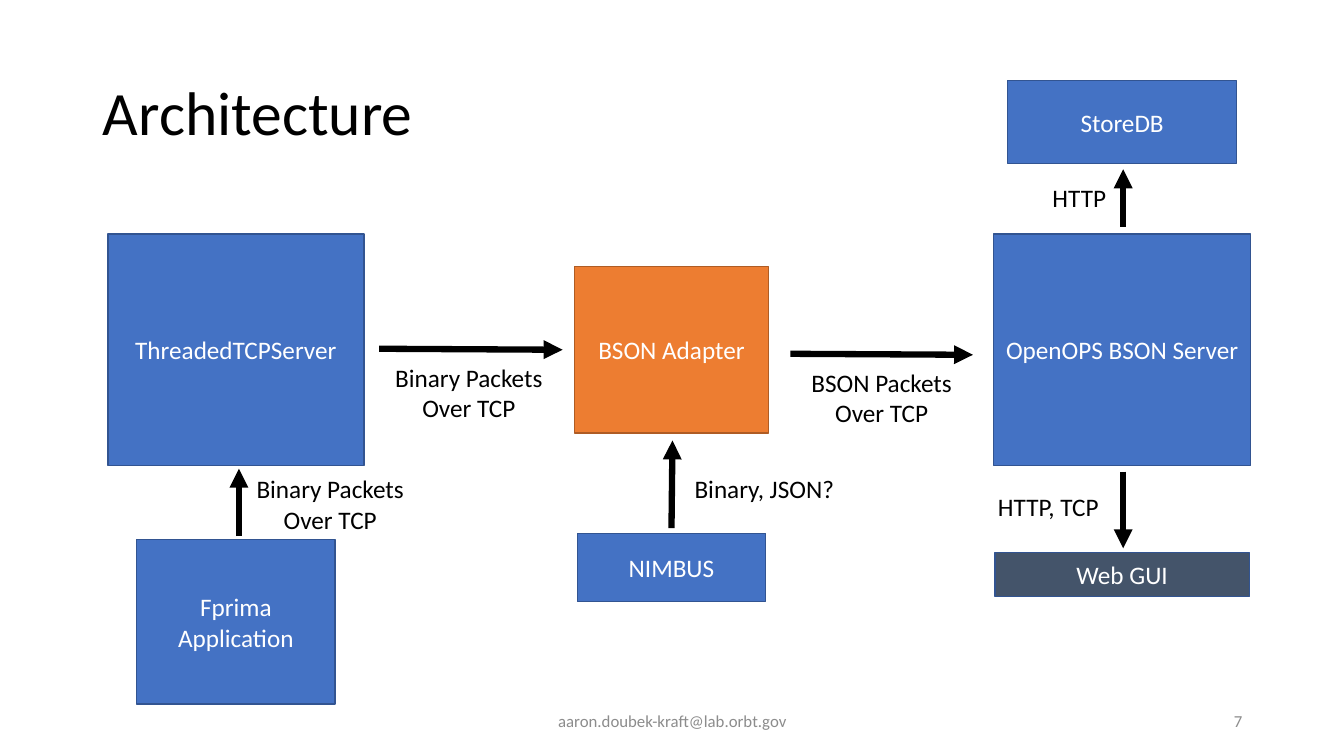
import pptx
import pptx.util
import pptx.dml.color
import pptx.enum.shapes
import pptx.enum.text
import pptx.oxml
import pptx.oxml.ns

Inches, Pt = pptx.util.Inches, pptx.util.Pt
ALIGN = pptx.enum.text.PP_ALIGN
ANCHOR = pptx.enum.text.MSO_ANCHOR

WIDTH, HEIGHT = 13.33, 7.5
FONT = "Calibri"
COLORS = {
    "blue": "4472C4", "blue_edge": "325491",
    "orange": "ED7D31", "orange_edge": "AF5C24",
    "slate": "44546A", "black": "000000", "white": "FFFFFF", "gray": "8C8C8C",
}
COLUMNS = {"source": 2.34, "adapter": 6.66, "server": 11.13}
ROWS = {"store": 1.21, "main": 3.47, "feed": 5.63, "gui": 5.7, "app": 6.17}

TITLE = ("Architecture", 0.92, 0.42, 11.5, 1.45)

# column, row, width, height, fill, edge
BOXES = [
    ("Fprima Application", "source", "app", 1.97, 1.63, "blue", "blue_edge"),
    ("ThreadedTCPServer", "source", "main", 2.54, 2.3, "blue", "blue_edge"),
    ("OpenOPS BSON Server", "server", "main", 2.55, 2.3, "blue", "blue_edge"),
    ("Web GUI", "server", "gui", 2.52, 0.44, "slate", "blue_edge"),
    ("BSON Adapter", "adapter", "main", 1.92, 1.65, "orange", "orange_edge"),
    ("StoreDB", "server", "store", 2.27, 0.82, "blue", "blue_edge"),
    ("NIMBUS", "adapter", "feed", 1.87, 0.68, "blue", "blue_edge"),
]

LABELS = [
    (["Binary Packets Over TCP"], 2.42, 4.65, 1.71, 0.71, ALIGN.CENTER),
    (["BSON Packets", "Over TCP"], 7.93, 3.59, 1.63, 0.71, ALIGN.CENTER),
    (["Binary Packets Over TCP"], 3.77, 3.54, 1.76, 0.71, ALIGN.CENTER),
    (["HTTP, TCP"], 9.8, 4.83, 1.26, 0.4, ALIGN.LEFT),
    (["HTTP"], 10.34, 1.76, 0.78, 0.4, ALIGN.LEFT),
    (["Binary, JSON?"], 6.79, 4.65, 1.81, 0.4, ALIGN.LEFT),
]

FOOTERS = [
    (["aaron.doubek-kraft@lab.orbt.gov"], 4.42, 6.95, 4.5, 0.4, ALIGN.CENTER),
    (["7"], 9.42, 6.95, 3, 0.4, ALIGN.RIGHT),
]

ARROWS = [
    (2.37, 5.32, 2.37, 4.65),
    (3.76, 3.46, 5.58, 3.47),
    (7.84, 3.51, 9.65, 3.52),
    (6.66, 5.24, 6.67, 4.37),
    (11.14, 4.68, 11.14, 5.44),
    (11.14, 2.25, 11.14, 1.68),
]


def rgb(name):
    return pptx.dml.color.RGBColor.from_string(COLORS[name])


def write(sp, lines, size, color, align, anchor):
    tf = sp.text_frame
    tf.text = "\n".join(lines)
    tf.word_wrap = True
    tf.vertical_anchor = anchor
    for p in tf.paragraphs:
        p.alignment = align
        p.font.name = FONT
        p.font.size = Pt(size)
        p.font.color.rgb = rgb(color)


def add_box(slide, text, column, row, w, h, fill, edge):
    sp = slide.shapes.add_shape(
        pptx.enum.shapes.MSO_SHAPE.RECTANGLE,
        Inches(COLUMNS[column] - w / 2), Inches(ROWS[row] - h / 2),
        Inches(w), Inches(h))
    sp.shadow.inherit = False
    sp.fill.solid()
    sp.fill.fore_color.rgb = rgb(fill)
    sp.line.color.rgb = rgb(edge)
    sp.line.width = Pt(1)
    write(sp, [text], 18, "white", ALIGN.CENTER, ANCHOR.MIDDLE)


def add_text(slide, lines, x, y, w, h, align, size, color, anchor):
    sp = slide.shapes.add_textbox(*map(Inches, (x, y, w, h)))
    write(sp, lines, size, color, align, anchor)


def add_arrow(slide, ends):
    sp = slide.shapes.add_connector(
        pptx.enum.shapes.MSO_CONNECTOR.STRAIGHT, *map(Inches, ends))
    sp.line.color.rgb = rgb("black")
    sp.line.width = Pt(4.5)
    ln = sp.line._get_or_add_ln()
    tail = pptx.oxml.ns.qn("a:tailEnd")
    ln.append(ln.makeelement(tail, {"type": "triangle"}))
    ln.addnext(ln.makeelement(pptx.oxml.ns.qn("a:effectLst"), {}))


def main():
    prs = pptx.Presentation()
    prs.slide_width, prs.slide_height = Inches(WIDTH), Inches(HEIGHT)
    slide = prs.slides.add_slide(prs.slide_layouts[5])

    text, *place = TITLE
    title = slide.shapes.title
    title.left, title.top, title.width, title.height = map(Inches, place)
    write(title, [text], 44, "black", ALIGN.LEFT, ANCHOR.MIDDLE)
    title.text_frame.paragraphs[0].line_spacing = 0.9

    for footer in FOOTERS:
        add_text(slide, *footer, 12, "gray", ANCHOR.MIDDLE)
    for box in BOXES:
        add_box(slide, *box)
    for label in LABELS:
        add_text(slide, *label, 18, "black", ANCHOR.TOP)
    for ends in ARROWS:
        add_arrow(slide, ends)

    prs.save("out.pptx")


if __name__ == "__main__":
    main()
